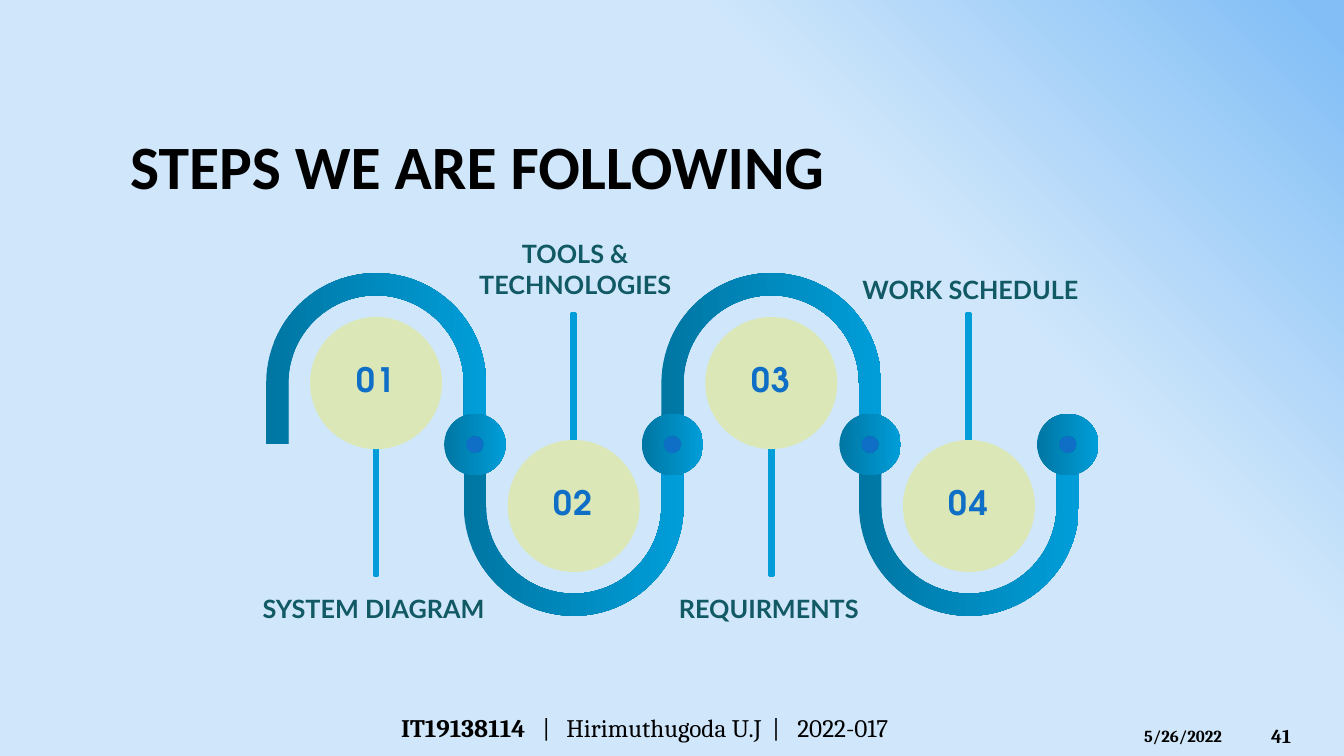
from dataclasses import dataclass
from math import cos, pi, sin

from lxml.etree import SubElement
from pptx import Presentation
from pptx.dml.color import RGBColor
from pptx.enum.shapes import MSO_SHAPE
from pptx.enum.text import MSO_ANCHOR, PP_ALIGN
from pptx.oxml.ns import qn
from pptx.util import Inches, Pt


@dataclass(frozen=True)
class Theme:
    """Colours and text formats of the slide."""
    sky: str = "D0E7FB"
    horizon: str = "83BFF6"
    light: str = "009DD9"
    dark: str = "0076A3"
    dot: str = "0F6FC6"
    disc: str = "DBE7B6"
    title: tuple = ("Calibri", 44, "000000")
    number: tuple = ("TeX Gyre Adventor", 24, "0F6FC6")
    label: tuple = ("Lato", 18, "115964")
    author: tuple = ("Cambria", 18, "000000")
    date: tuple = ("Cambria", 12, "000000")
    page: tuple = ("Cambria", 14, "000000")


THEME = Theme()
STEPS = [
    ("SYSTEM DIAGRAM", 5.84, 0.38),
    ("TOOLS & TECHNOLOGIES", 2.32, 0.66),
    ("REQUIRMENTS", 5.84, 0.38),
    ("WORK SCHEDULE", 2.67, 0.38),
]


def set_values(target, **values):
    """Set every given attribute on the target."""
    for name, value in values.items():
        setattr(target, name, value)


def write(para, text, look, bold=True):
    """Add a formatted span to a paragraph and return it."""
    face, size, colour = look
    span = para.add_run()
    span.text = text
    set_values(span.font, name=face, size=Pt(size), bold=bold)
    span.font.color.rgb = RGBColor.from_string(colour)
    return span


def add_text(page, box, text, look, align=PP_ALIGN.LEFT, anchor=MSO_ANCHOR.MIDDLE):
    """Place one paragraph in a text box and return the paragraph and span."""
    frame = page.shapes.add_textbox(*map(Inches, box)).text_frame
    set_values(frame, word_wrap=True, vertical_anchor=anchor)
    para = frame.paragraphs[0]
    para.alignment = align
    return para, write(para, text, look)


def paint_gradient(fill, stops, angle=0):
    """Give a fill two gradient stops of position and colour."""
    fill.gradient()
    fill.gradient_angle = angle
    for stop, (position, colour) in zip(fill.gradient_stops, stops):
        stop.position = position
        stop.color.rgb = RGBColor.from_string(colour)


def paint(shape, colour=None):
    """Fill a shape flat, or with the blue gradient, without line or shadow."""
    shape.shadow.inherit = False
    shape.line.fill.background()
    if colour:
        shape.fill.solid()
        shape.fill.fore_color.rgb = RGBColor.from_string(colour)
    else:
        paint_gradient(shape.fill, [(0, THEME.dark), (1, THEME.light)])


def add_round(page, kind, x, y, size, colour=None):
    """Add a round shape centred on a point."""
    shape = page.shapes.add_shape(
        kind, *map(Inches, (x - size / 2, y - size / 2, size, size)))
    paint(shape, colour)
    return shape


def add_arch(page, x, middle, side, radius, band, leg):
    """Draw a half-ring with straight legs, above or below the middle line."""
    def arc(size, angles):
        return [(x + size * cos(a), middle + side * (leg + size * sin(a))) for a in angles]

    angles = [pi * step / 48 for step in range(49)]
    inner = radius - band
    outline = [(x + radius, middle), *arc(radius, angles), (x - radius, middle),
               (x - inner, middle), *arc(inner, angles[::-1]), (x + inner, middle)]
    points = [(Inches(px), Inches(py)) for px, py in outline]
    builder = page.shapes.build_freeform(*points[0], scale=1.0)
    builder.add_line_segments(points[1:], close=True)
    paint(builder.convert_to_shape())


def add_step(page, x, y, side, number):
    """Draw the stem, disc and number of one step around its centre."""
    length, width = 1.91, 0.04
    stem = page.shapes.add_shape(MSO_SHAPE.RECTANGLE, *map(
        Inches, (x - width / 2, min(y, y - side * length), width, length)))
    paint(stem, THEME.light)
    stem.line.color.rgb = RGBColor.from_string(THEME.light)
    stem.line.width = Pt(2)
    add_round(page, MSO_SHAPE.OVAL, x, y, 1.31, THEME.disc)
    _, span = add_text(page, (x - 0.43, y - 0.29, 0.85, 0.59), f"{number:02}",
                       THEME.number, PP_ALIGN.CENTER, MSO_ANCHOR.TOP)
    span.font._element.set("spc", "100")


def add_node(page, x, y):
    """Draw the joint between two arches."""
    add_round(page, MSO_SHAPE.OVAL, x, y, 0.39, THEME.dot)
    ring = add_round(page, MSO_SHAPE.DONUT, x, y, 0.61)
    ring.adjustments[0] = 0.35


def add_wave(page, box):
    """Lay out the winding path and its steps in the box."""
    left, top, width, height = box
    band = 0.22
    pitch = (width - band) / len(STEPS)
    radius = (pitch + band) / 2
    middle = top + height / 2
    leg = height / 2 - radius
    places = [(left + radius + pitch * index, 1 if index % 2 else -1)
              for index in range(len(STEPS))]
    for x, side in places:
        add_arch(page, x, middle, side, radius, band, leg)
    for number, ((x, side), (label, label_top, label_height)) in enumerate(zip(places, STEPS), 1):
        add_node(page, x + pitch / 2, middle)
        add_step(page, x, middle + side * leg, side, number)
        add_text(page, (x - 1.28 + side * 0.02, label_top, 2.55, label_height), label,
                 THEME.label, PP_ALIGN.CENTER, MSO_ANCHOR.TOP)


def add_title(page, box, text):
    """Move and format the title placeholder."""
    title = page.shapes.title
    set_values(title, **dict(zip(("left", "top", "width", "height"), map(Inches, box))))
    title.text_frame.vertical_anchor = MSO_ANCHOR.MIDDLE
    para = title.text_frame.paragraphs[0]
    para.alignment = PP_ALIGN.LEFT
    write(para, text, THEME.title)


def add_footer(page, box):
    """Place author line, date and page number along the box."""
    left, top, width, height = box
    para, _ = add_text(page, (left, top, 7.45, height), "IT19138114", THEME.author)
    tabs = SubElement(para._p.get_or_add_pPr(), qn("a:tabLst"))
    for position in (1.4, 1.64, 3.68, 3.93):
        SubElement(tabs, qn("a:tab"), pos=str(Inches(position)), algn="l")
    write(para, "\t|\tHirimuthugoda U.J\t|\t2022-017", THEME.author, bold=False)
    right = left + width
    add_text(page, (right - 2, top + 0.13, 1.17, 0.3), "5/26/2022", THEME.date)
    add_text(page, (right - 0.74, top + 0.08, 0.74, height), "41", THEME.page)


def main():
    """Build the slide and save the deck."""
    deck = Presentation()
    set_values(deck, slide_width=Inches(13.33), slide_height=Inches(7.5))
    page = deck.slides.add_slide(deck.slide_layouts[5])
    paint_gradient(page.background.fill, [(0.69, THEME.sky), (0.98, THEME.horizon)], 45)
    add_title(page, (1.19, 0.83, 11.33, 1.61), "STEPS WE ARE FOLLOWING")
    add_wave(page, (2.64, 2.71, 8.06, 3.4))
    add_footer(page, (3.88, 7.02, 9.37, 0.4))
    deck.save("out.pptx")


if __name__ == "__main__":
    main()
